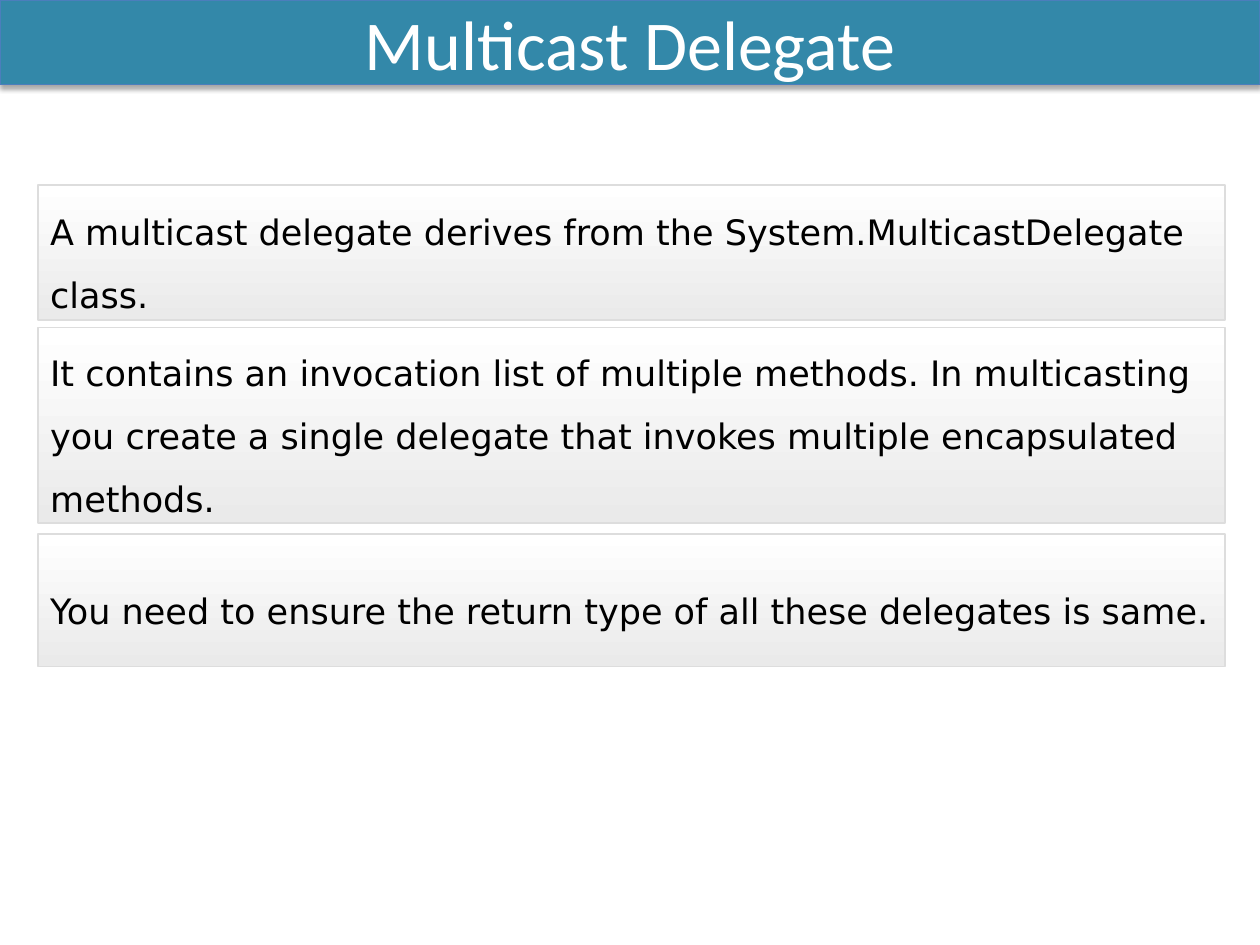
from lxml.etree import SubElement
from pptx import Presentation
from pptx.dml.color import RGBColor
from pptx.enum.shapes import MSO_SHAPE
from pptx.enum.text import MSO_ANCHOR, PP_ALIGN
from pptx.oxml.ns import qn
from pptx.util import Pt

COLORS = {
    "teal": "3388A9",
    "edge": "4B7EBC",
    "white": "FFFFFF",
    "black": "000000",
    "gray": "EAEAEA",
    "rim": "DDDDDD",
}

TITLE = {
    "text": {"alignment": PP_ALIGN.CENTER},
    "font": {"name": "Calibri", "size": Pt(40)},
}
BODY = {
    "text": {"alignment": PP_ALIGN.LEFT, "line_spacing": 1.5},
    "font": {"name": "DejaVu Sans", "size": Pt(20)},
}

CARDS = [
    (105.8, 77, "A multicast delegate derives from the System.MulticastDelegate class."),
    (187.2, 111.6, "It contains an invocation list of multiple methods. In multicasting "
     "you create a single delegate that invokes multiple encapsulated methods."),
    (305.3, 75.6, "You need to ensure the return type of all these delegates is same."),
]


def color(name):
    return RGBColor.from_string(COLORS[name])


def apply(target, values):
    for key, value in values.items():
        setattr(target, key, value)


def panel(slide, box, text, style, ink, edge, width):
    shape = slide.shapes.add_shape(MSO_SHAPE.RECTANGLE, *map(Pt, box))
    shape.shadow.inherit = False
    shape.line.color.rgb = color(edge)
    shape.line.width = Pt(width)
    frame = shape.text_frame
    apply(frame, {"word_wrap": True, "vertical_anchor": MSO_ANCHOR.MIDDLE})
    para = frame.paragraphs[0]
    apply(para, style["text"])
    run = para.add_run()
    run.text = text
    apply(run.font, style["font"])
    run.font.color.rgb = color(ink)
    return shape


def shade(shape):
    effects = shape._element.spPr.find(qn("a:effectLst"))
    outer = SubElement(effects, qn("a:outerShdw"), blurRad=str(Pt(3.1)),
                       dist=str(Pt(1.8)), dir="5400000", rotWithShape="0")
    tint = SubElement(outer, qn("a:srgbClr"), val=COLORS["black"])
    SubElement(tint, qn("a:alpha"), val="35000")


def header(slide, box, text):
    shape = panel(slide, box, text, TITLE, "white", "edge", 0.75)
    shape.fill.solid()
    shape.fill.fore_color.rgb = color("teal")
    shade(shape)


def card(slide, box, text):
    shape = panel(slide, box, text, BODY, "black", "rim", 1)
    fill = shape.fill
    fill.gradient()
    fill.gradient_angle = 270
    for stop, (place, name) in zip(fill.gradient_stops, [(0, "white"), (1, "gray")]):
        stop.position = place
        stop.color.rgb = color(name)


def main():
    deck = Presentation()
    apply(deck, {"slide_width": Pt(720), "slide_height": Pt(540)})
    slide = deck.slides.add_slide(deck.slide_layouts[6])
    header(slide, (0, 0, 720, 48.3), "Multicast Delegate")
    for top, height, text in CARDS:
        card(slide, (21.6, top, 678.4, height), text)
    deck.save("out.pptx")


if __name__ == "__main__":
    main()
